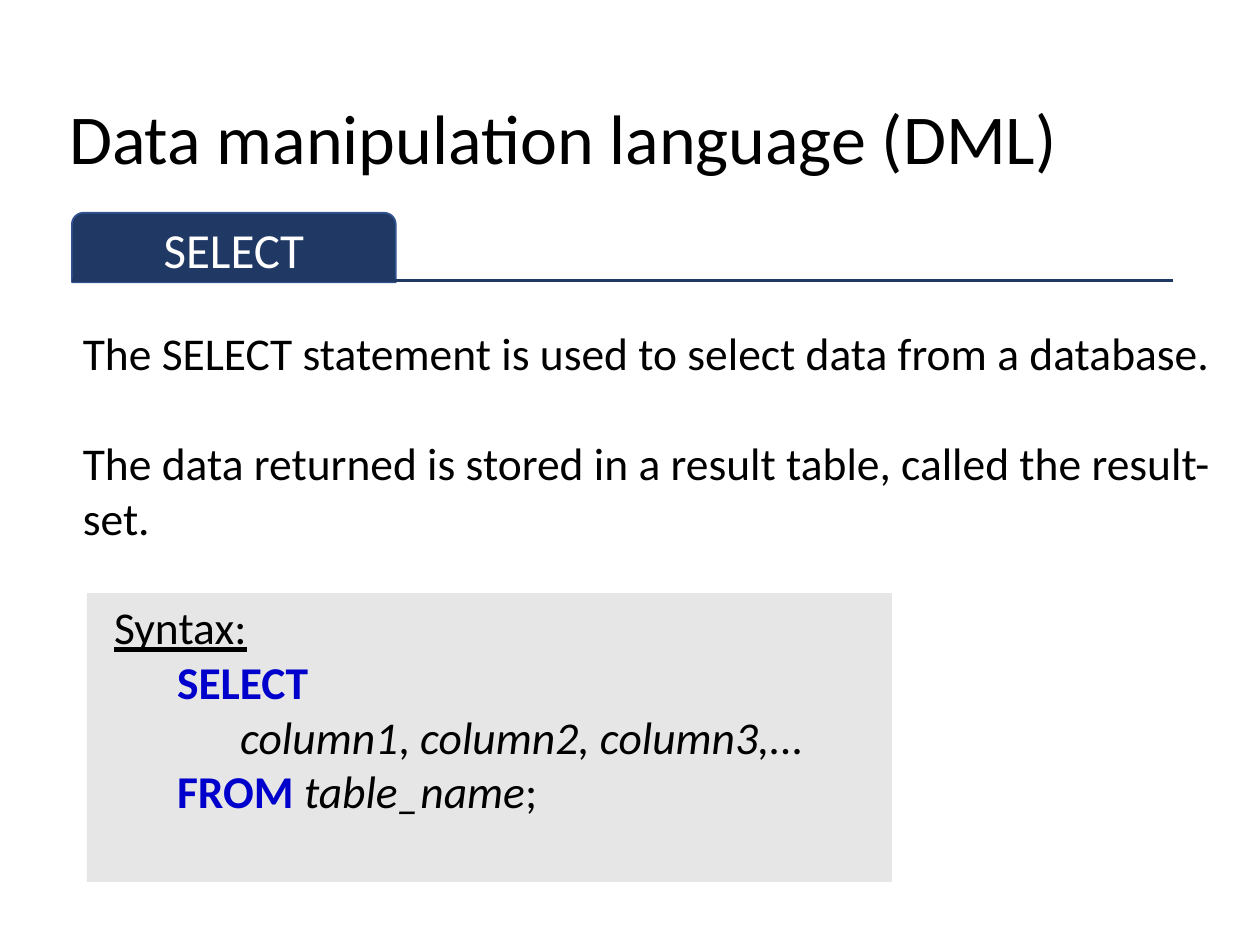
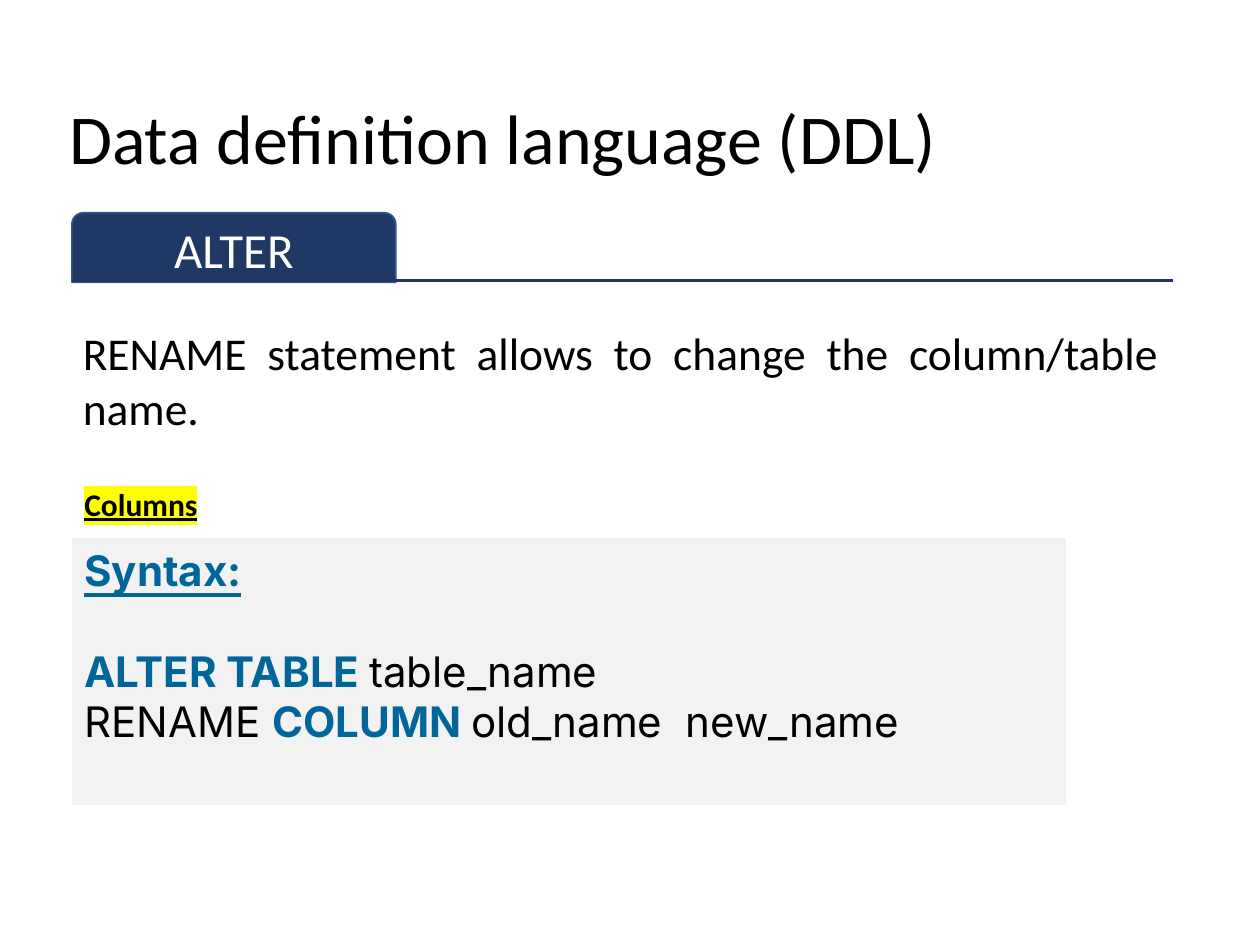
from pptx import Presentation
from pptx.dml.color import RGBColor as RGB
from pptx.enum.shapes import MSO_CONNECTOR as Link, MSO_SHAPE as Form
from pptx.enum.text import MSO_ANCHOR as Anchor, MSO_AUTO_SIZE as Fit, PP_ALIGN as Align
from pptx.oxml.ns import qn
from pptx.util import Cm, Pt
from lxml import etree

NAVY, EDGE, BLACK, WHITE = "203864", "325491", "000000", "FFFFFF"
BLUE, TEAL, YELLOW = "0000CD", "006699", "FFFF00"
LEFT = 1.45


def color(code):
    return RGB.from_string(code)


class Deck:
    def __init__(self, font="Calibri"):
        self.prs = Presentation()
        self.prs.slide_width, self.prs.slide_height = Cm(25.4), Cm(19.05)
        self.font = font
        self.slide = None

    def page(self, title, topic):
        """Start a slide with its title, topic tab and rule."""
        self.slide = self.prs.slides.add_slide(self.prs.slide_layouts[5])
        head = self.slide.shapes.title
        head.left, head.top, head.width, head.height = map(Cm, (1.14, 1.02, 22.53, 3.68))
        frame = head.text_frame
        frame.auto_size, frame.vertical_anchor = Fit.NONE, Anchor.MIDDLE
        self.para(frame, [(title, {})], 40, align=Align.LEFT).line_spacing = 0.9

        tab = self.shape(Form.ROUND_2_SAME_RECTANGLE, (LEFT, 4.29, 6.53, 1.4), NAVY, EDGE)
        tab.vertical_anchor = Anchor.MIDDLE
        self.para(tab, [(topic, {"ink": WHITE})], 28, align=Align.CENTER)
        self.rule(LEFT, 23.65, 5.66)

    def shape(self, form, box, fill, line=None):
        item = self.slide.shapes.add_shape(form, *map(Cm, box))
        item.shadow.inherit = False
        item.fill.solid()
        item.fill.fore_color.rgb = color(fill)
        if line:
            item.line.color.rgb = color(line)
            item.line.width = Pt(1)
        else:
            item.line.fill.background()
        item.text_frame.word_wrap = True
        item.text_frame.vertical_anchor = Anchor.TOP
        return item.text_frame

    def rule(self, start, end, top):
        line = self.slide.shapes.add_connector(
            Link.STRAIGHT, Cm(start), Cm(top), Cm(end), Cm(top))
        line.line.color.rgb = color(NAVY)
        line.line.width = Pt(1.5)
        etree.SubElement(line._element.spPr, qn("a:effectLst"))

    def text(self, box):
        frame = self.slide.shapes.add_textbox(*map(Cm, box)).text_frame
        frame.word_wrap = True
        return frame

    def para(self, frame, runs, size, align=Align.LEFT, gap=0, indent=0, font=None):
        """Fill the first empty paragraph, or add one."""
        last = frame.paragraphs[-1]
        para = frame.add_paragraph() if last.runs else last
        if indent:
            props = para._p.get_or_add_pPr()
            props.set("marL", str(Cm(indent)))
            props.set("indent", "0")
        para.alignment = align
        if gap:
            para.space_before = Pt(gap)
        for words, look in runs:
            self.run(para, words, size, font or self.font, **look)
        return para

    def run(self, para, words, size, font, ink=BLACK, bold=False,
            slant=False, under=False, mark=None):
        run = para.add_run()
        run.text = words
        face = run.font
        face.size, face.name = Pt(size), font
        face.bold, face.italic, face.underline = bold, slant, under
        face.color.rgb = color(ink)
        if mark:
            glow = etree.Element(qn("a:highlight"))
            etree.SubElement(glow, qn("a:srgbClr")).set("val", mark)
            run._r.rPr.find(qn("a:latin")).addprevious(glow)


def select(deck):
    deck.page("Data manipulation language (DML)", "SELECT")
    body = deck.text((1.42, 6.43, 23.5, 5.82))
    deck.para(body, [("The SELECT statement is used to select data from a database.", {})], 26)
    deck.para(body, [("The data returned is stored in a result table, "
                      "called the result-set.", {})], 26, gap=31.7)

    # Syntax box: each level is one tab stop further in
    key, name = {"ink": BLUE, "bold": True}, {"slant": True}
    lines = [
        (0, [("Syntax:", {"under": True})]),
        (1, [("SELECT", key)]),
        (2, [("column1", name), (",", {}), (" column2, column3,...", name)]),
        (1, [("FROM ", key), ("table_name", name), (";", {})]),
    ]
    code = deck.shape(Form.RECTANGLE, (1.75, 11.96, 16.23, 5.82), "E7E6E6")
    for level, runs in lines:
        deck.para(code, runs, 26, indent=0.3 + 1.27 * level)


def alter(deck):
    deck.page("Data definition language (DDL)", "ALTER")
    body = deck.text((1.42, 6.43, 22.2, 2.49))
    deck.para(body, [("RENAME statement allows to change the column/table name.", {})],
              26, align=Align.JUSTIFY)

    # Syntax box
    key = {"ink": TEAL, "bold": True}
    lines = [
        (0, [("Syntax:", {**key, "under": True})]),
        (29, [("ALTER TABLE ", key), ("table_name", {})]),
        (0, [("RENAME ", {}), ("COLUMN ", key), ("old_name  new_name", {})]),
    ]
    code = deck.shape(Form.RECTANGLE, (LEFT, 10.85, 20.04, 5.38), "F2F2F2")
    for gap, runs in lines:
        deck.para(code, runs, 24, gap=gap, font="Inter")

    # Label above the box
    label = deck.text((LEFT, 9.65, 6.93, 1.02))
    deck.para(label, [("Columns", {"bold": True, "under": True, "mark": YELLOW})], 18)


def main():
    deck = Deck()
    select(deck)
    alter(deck)
    deck.prs.save("out.pptx")


if __name__ == "__main__":
    main()
